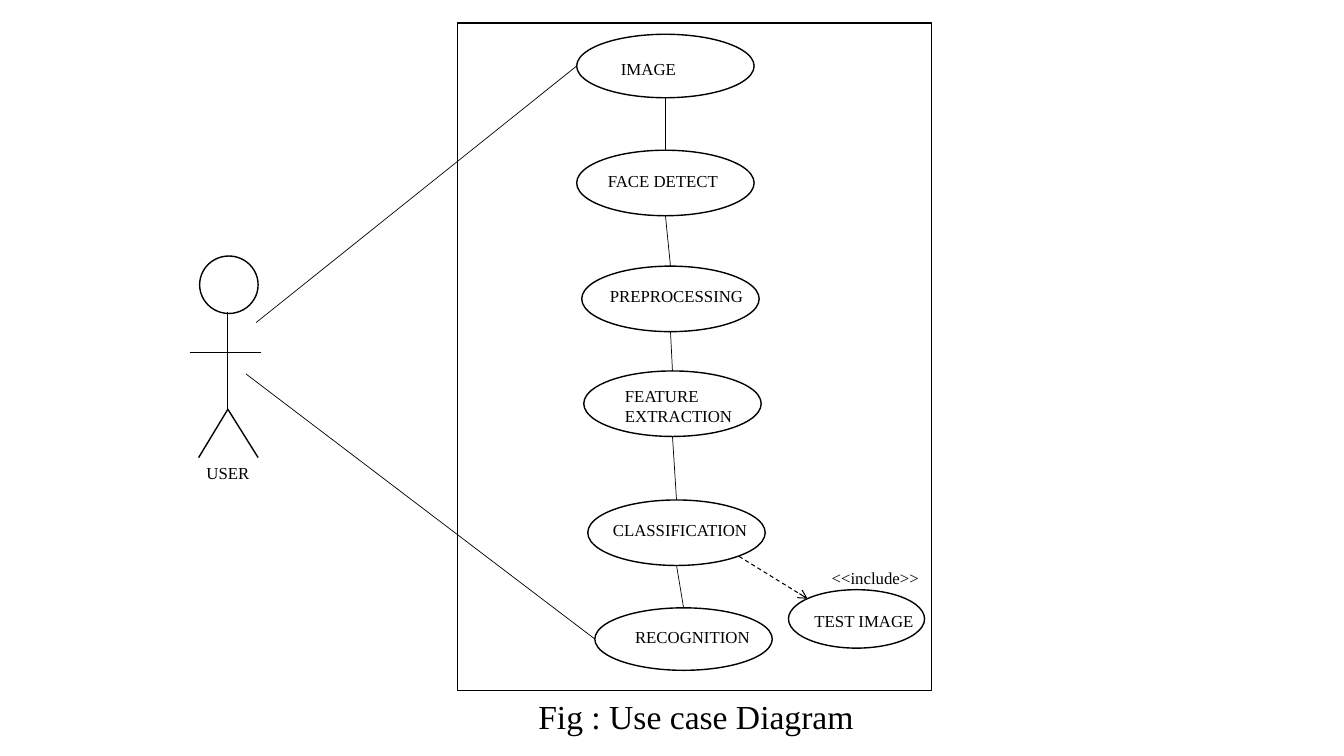
from dataclasses import dataclass
from typing import NamedTuple

from lxml.etree import SubElement
from pptx import Presentation
from pptx.dml.color import RGBColor
from pptx.enum.dml import MSO_LINE
from pptx.enum.shapes import MSO_CONNECTOR, MSO_SHAPE
from pptx.enum.text import MSO_AUTO_SIZE, PP_ALIGN
from pptx.oxml.ns import qn
from pptx.util import Inches, Pt


@dataclass(frozen=True)
class Theme:
    ink: RGBColor = RGBColor(0, 0, 0)
    paper: RGBColor = RGBColor(255, 255, 255)
    font: str = "Times New Roman"
    label_size: float = 12
    caption_size: float = 24
    outline: float = 1
    link: float = 0.5
    include_link: float = 0.75


class UseCase(NamedTuple):
    """An oval and its label's box, in grid columns and rows."""
    label: str
    left: float
    top: float
    width: float
    height: float
    label_left: float
    label_top: float
    label_width: float
    label_height: float = 3

    @property
    def center(self):
        return self.left + self.width / 2

    @property
    def bottom(self):
        return self.top + self.height

    @property
    def left_middle(self):
        return self.left, self.top + self.height / 2


THEME = Theme()
COLUMNS, ROWS = 133.3, 75
CELL = Inches(0.1)

STEPS = [
    UseCase("IMAGE", 57.2, 3.4, 17.6, 6.3, 60.6, 5.3, 11.5),
    UseCase("FACE DETECT", 57.2, 14.9, 17.6, 6.5, 59.3, 16.4, 18),
    UseCase("PREPROCESSING", 57.7, 26.4, 17.6, 6.5, 59.5, 27.9, 15.3),
    UseCase("FEATURE EXTRACTION", 57.9, 36.8, 17.6, 6.5, 61, 37.8, 18.4, 5),
    UseCase("CLASSIFICATION", 58.3, 49.6, 17.6, 6.5, 59.8, 51.1, 21.1),
    UseCase("RECOGNITION", 59, 60.3, 17.6, 6.2, 62, 61.7, 24),
]
TEST_IMAGE = UseCase("TEST IMAGE", 78.2, 58.5, 13.5, 5.8, 79.8, 60.1, 14.7)


def grid(*cells):
    return [round(cell * CELL) for cell in cells]


def add_outlined(slide, kind, left, top, width, height):
    outlined = slide.shapes.add_shape(kind, *grid(left, top, width, height))
    outlined.shadow.inherit = False
    outlined.fill.solid()
    outlined.fill.fore_color.rgb = THEME.paper
    outlined.line.color.rgb = THEME.ink
    outlined.line.width = Pt(THEME.outline)


def add_text(slide, words, left, top, width, height=3,
             size=THEME.label_size, align=PP_ALIGN.LEFT):
    frame = slide.shapes.add_textbox(*grid(left, top, width, height)).text_frame
    frame.word_wrap = True
    frame.auto_size = MSO_AUTO_SIZE.SHAPE_TO_FIT_TEXT
    paragraph = frame.paragraphs[0]
    paragraph.alignment = align
    run = paragraph.add_run()
    run.text = words
    run.font.name = THEME.font
    run.font.size = Pt(size)
    run.font.color.rgb = THEME.ink


def add_link(slide, start, end, weight=THEME.link):
    link = slide.shapes.add_connector(MSO_CONNECTOR.STRAIGHT, *grid(*start, *end))
    link.line.color.rgb = THEME.ink
    link.line.width = Pt(weight)
    SubElement(link._element.spPr, qn("a:effectLst"))
    return link


def add_include_arrow(slide, start, end):
    arrow = add_link(slide, start, end, THEME.include_link)
    arrow.line.dash_style = MSO_LINE.DASH
    SubElement(arrow.line._get_or_add_ln(), qn("a:tailEnd"),
               type="arrow", w="med", len="med")


def add_use_case(slide, case):
    add_outlined(slide, MSO_SHAPE.OVAL, case.left, case.top, case.width, case.height)
    add_text(slide, case.label, case.label_left, case.label_top,
             case.label_width, case.label_height)


def add_user(slide):
    spine, hips = 22.6, 40.6
    add_outlined(slide, MSO_SHAPE.OVAL, 19.8, 25.4, 5.8, 5.7)
    add_link(slide, (spine, 31), (spine, hips))
    add_link(slide, (18.8, 35), (25.9, 35))
    left_foot, hip, right_foot = [
        grid(*point) for point in ((19.7, 45.4), (spine, hips), (25.6, 45.4))]
    pen = slide.shapes.build_freeform(*left_foot)
    pen.add_line_segments([hip, right_foot], close=False)
    legs = pen.convert_to_shape()
    legs.shadow.inherit = False
    legs.fill.background()
    legs.line.color.rgb = THEME.ink
    legs.line.width = Pt(THEME.outline)
    add_text(slide, "USER", 19.5, 45.4, 6.7)


def main():
    deck = Presentation()
    deck.slide_width, deck.slide_height = grid(COLUMNS, ROWS)
    slide = deck.slides.add_slide(deck.slide_layouts[6])

    add_outlined(slide, MSO_SHAPE.RECTANGLE, 45.4, 2.3, 47, 66.2)
    add_user(slide)
    for case in [*STEPS, TEST_IMAGE]:
        add_use_case(slide, case)
    for upper, lower in zip(STEPS, STEPS[1:]):
        add_link(slide, (upper.center, upper.bottom), (lower.center, lower.top))

    add_link(slide, (25.4, 32), STEPS[0].left_middle)
    add_link(slide, (24.4, 37.1), STEPS[-1].left_middle)
    add_include_arrow(slide, (73.3, 55.2), (80.1, 59.4))
    add_text(slide, "<<include>>", 81.5, 55.8, 10.9)
    add_text(slide, "Fig : Use case Diagram", 52.4, 68.5, 47.1, 5,
             THEME.caption_size, PP_ALIGN.JUSTIFY)
    deck.save("out.pptx")


if __name__ == "__main__":
    main()
